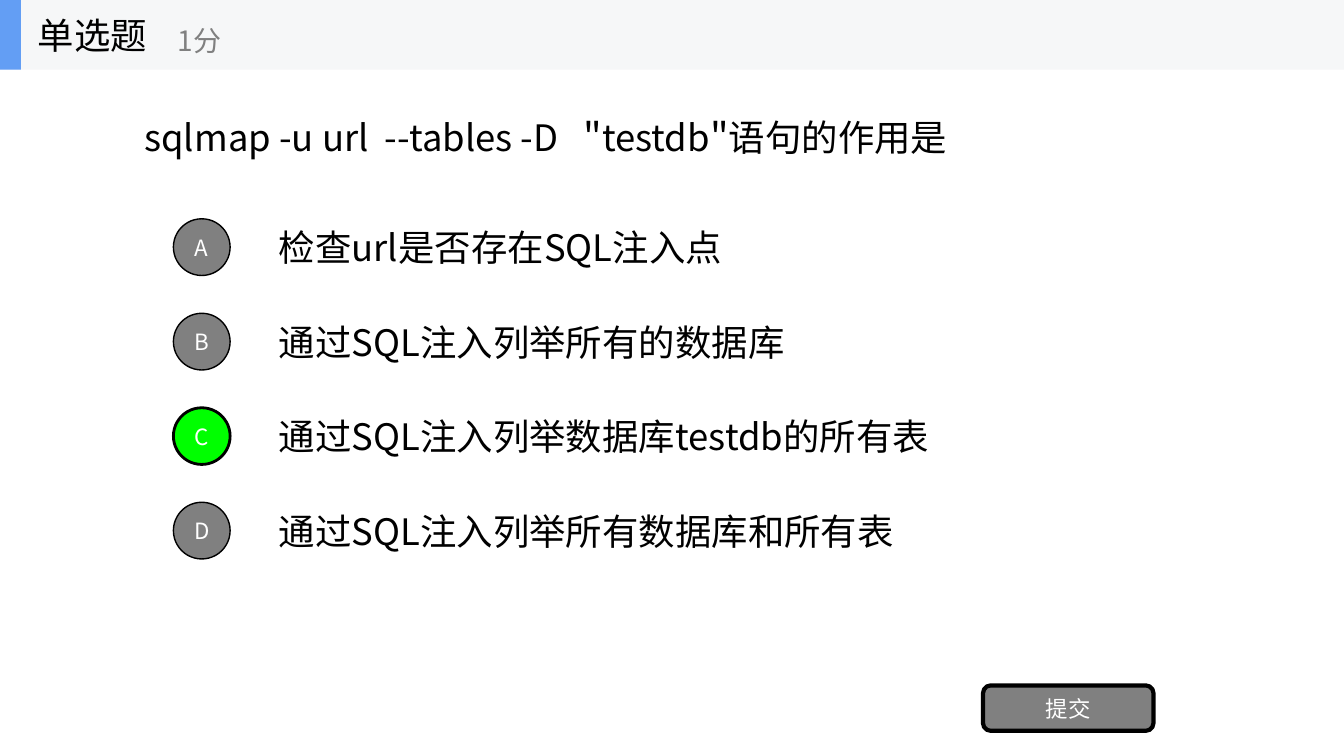
from pptx import Presentation
from pptx.dml.color import RGBColor
from pptx.enum.shapes import MSO_SHAPE
from pptx.enum.text import MSO_ANCHOR, PP_ALIGN
from pptx.oxml.ns import qn
from pptx.util import Inches, Pt
from lxml import etree

RECT, ROUND, OVAL = MSO_SHAPE.RECTANGLE, MSO_SHAPE.ROUNDED_RECTANGLE, MSO_SHAPE.OVAL
MIDDLE = MSO_ANCHOR.MIDDLE
LEFT, CENTER = PP_ALIGN.LEFT, PP_ALIGN.CENTER

BLACK = RGBColor(0x00, 0x00, 0x00)
WHITE = RGBColor(0xFF, 0xFF, 0xFF)
GRAY = RGBColor(0x80, 0x80, 0x80)
GREEN = RGBColor(0x00, 0xFF, 0x00)
PALE = RGBColor(0xF6, 0xF7, 0xF8)
BLUE = RGBColor(0x63, 0x9E, 0xF4)

FONT = "Noto Sans CJK SC"
WIDE, HIGH = 13.33, 7.5
COL, ROW = WIDE / 10, HIGH / 8

QUERY = [("sqlmap -u url  --tables -D   ", 26), ('"', 28), ("testdb", 26),
         ('"', 28), ("语句的作用是", 26)]
CHOICES = ["检查url是否存在SQL注入点", "通过SQL注入列举所有的数据库",
           "通过SQL注入列举数据库testdb的所有表", "通过SQL注入列举所有数据库和所有表"]
ANSWER = "C"


def write(shape, runs, size=26, color=BLACK, align=LEFT, inset=0.1):
    """Fill a shape with one paragraph, from a string or (text, size) pairs."""
    frame = shape.text_frame
    frame.word_wrap = True
    frame.vertical_anchor = MIDDLE
    frame.margin_left = frame.margin_right = Inches(inset)
    para = frame.paragraphs[0]
    para.alignment = align
    for text, points in [(runs, size)] if isinstance(runs, str) else runs:
        run = para.add_run()
        run.text = text
        run.font.name = FONT
        run.font.size = Pt(points)
        run.font.color.rgb = color
        etree.SubElement(run.font._element, qn("a:ea")).set("typeface", FONT)


def label(slide, box, runs, **style):
    write(slide.shapes.add_textbox(*map(Inches, box)), runs, **style)


def block(slide, kind, box, fill, edge=0, text=None):
    shape = slide.shapes.add_shape(kind, *map(Inches, box))
    shape.shadow.inherit = False
    shape.fill.solid()
    shape.fill.fore_color.rgb = fill
    if edge:
        shape.line.color.rgb = BLACK
        shape.line.width = Pt(edge)
    else:
        shape.line.fill.background()
    if text:
        write(shape, text, size=16, color=WHITE, align=CENTER, inset=0)


def header(slide, x, y, w, h):
    """Title strip with its accent, question type and score."""
    block(slide, RECT, (x, y, w, h), PALE)
    block(slide, RECT, (x, y, 0.3 * h, h), BLUE)
    label(slide, (x + 0.4 * h, y, 3 * h, h), "单选题")
    label(slide, (x + COL * 1.25, y + 0.18 * h, 2.5, 0.8 * h), "1分",
          size=20, color=GRAY)


def options(slide, x, y, w, h):
    """One row for each choice: a round letter button and its text."""
    step = h / len(CHOICES)
    tall = 0.75 * step
    dot = 0.6 * step
    for i, (key, text) in enumerate(zip("ABCD", CHOICES)):
        top = y + i * step
        label(slide, (x + COL, top, w - COL, tall), text)
        right = key == ANSWER
        block(slide, OVAL, (x + 0.29 * COL, top + (tall - dot) / 2, dot, dot),
              GREEN if right else GRAY, edge=2 if right else 1, text=key)


def main():
    deck = Presentation()
    deck.slide_width, deck.slide_height = Inches(WIDE), Inches(HIGH)
    slide = deck.slides.add_slide(deck.slide_layouts[6])

    # Question
    label(slide, (COL, 0.69, 8 * COL, 1.32), QUERY)
    # Choices
    options(slide, COL, 0.28 * HIGH, 8 * COL, 4 * ROW)
    # Submit button
    block(slide, ROUND, (9.75, 6.8, 1.69, 0.45), GRAY, edge=3, text="提交")
    # Header
    header(slide, 0, 0, WIDE, 0.69)

    deck.save("out.pptx")


if __name__ == "__main__":
    main()
